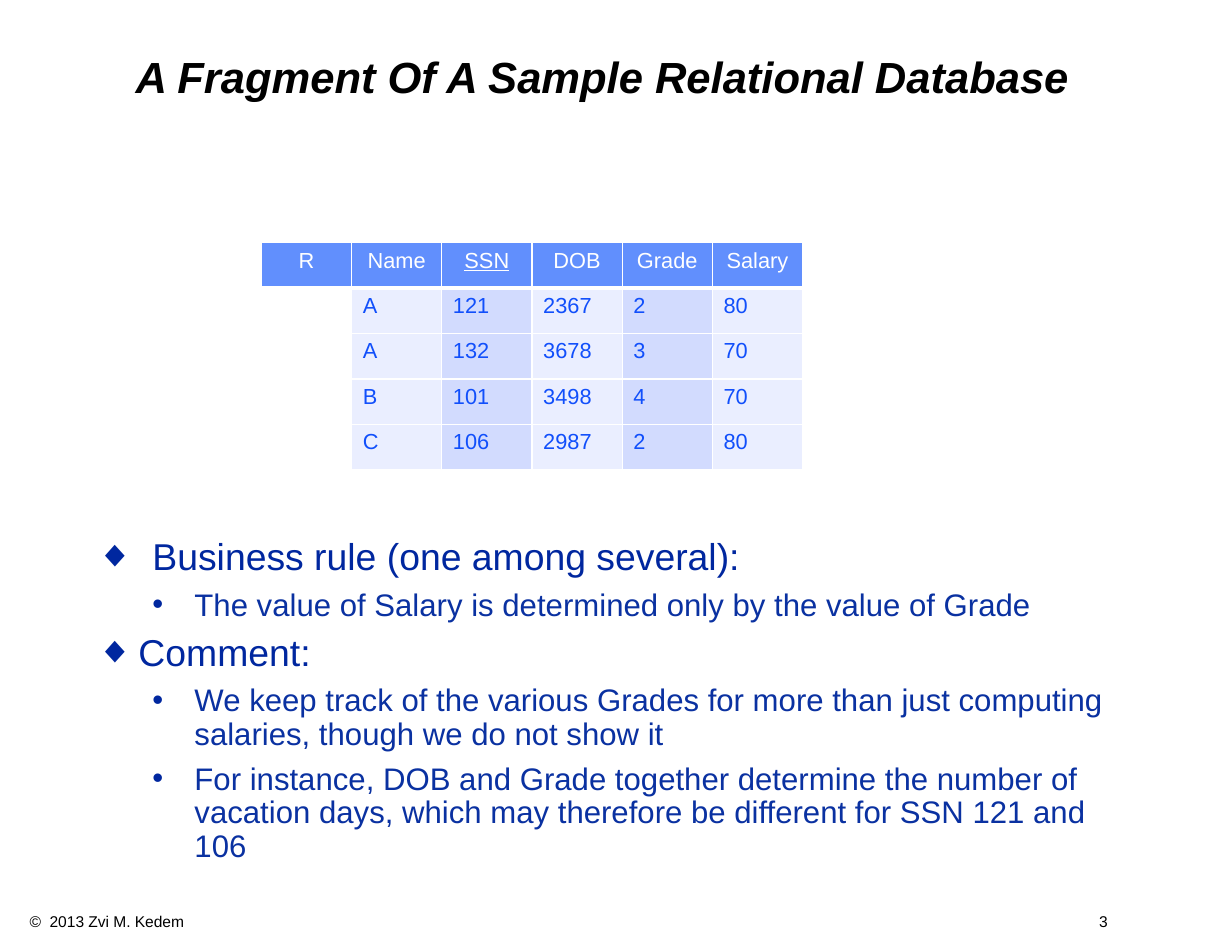
"""Build the slide about a fragment of a sample relational database."""
import pptx
import pptx.util
import pptx.dml.color
import pptx.enum.text
import lxml.etree

Pt = pptx.util.Pt
RGB = pptx.dml.color.RGBColor
ALIGN = pptx.enum.text.PP_ALIGN
ANCHOR = pptx.enum.text.MSO_ANCHOR
BLACK = RGB(0x00, 0x00, 0x00)
WHITE = RGB(0xFF, 0xFF, 0xFF)
NAVY = RGB(0x00, 0x27, 0x9F)
INDIGO = RGB(0x0A, 0x31, 0xA1)
BLUE = RGB(0x11, 0x4F, 0xFB)
HEAD = RGB(0x61, 0x8F, 0xFD)
PALE = RGB(0xEA, 0xEE, 0xFF)
TINT = RGB(0xD2, 0xDB, 0xFE)
NS = "{http://schemas.openxmlformats.org/drawingml/2006/main}"


def style(para, size, color):
    for run in para.runs:
        run.font.name = "Arial"
        run.font.size = Pt(size)
        run.font.color.rgb = color


def add(node, tag, **attrs):
    return lxml.etree.SubElement(node, NS + tag, attrs)


deck = pptx.Presentation()
deck.slide_width = Pt(792)
deck.slide_height = Pt(612)
slide = deck.slides.add_slide(deck.slide_layouts[5])

title = slide.shapes.title
title.left, title.top, title.width, title.height = Pt(54), Pt(18), Pt(666), Pt(66)
frame = title.text_frame
frame.text = "A Fragment Of A Sample Relational Database"
frame.word_wrap = True
frame.auto_size = pptx.enum.text.MSO_AUTO_SIZE.NONE
frame.vertical_anchor = ANCHOR.MIDDLE
frame.margin_left = frame.margin_right = Pt(8)
frame.margin_top = frame.margin_bottom = Pt(4)
para = frame.paragraphs[0]
para.alignment = ALIGN.CENTER
para.line_spacing = 0.9
style(para, 28, BLACK)
para.runs[0].font.bold = True
para.runs[0].font.italic = True

rows = [
    ["R", "Name", "SSN", "DOB", "Grade", "Salary"],
    ["", "A", "121", "2367", "2", "80"],
    ["", "A", "132", "3678", "3", "70"],
    ["", "B", "101", "3498", "4", "70"],
    ["", "C", "106", "2987", "2", "80"],
]
table = slide.shapes.add_table(5, 6, Pt(168), Pt(156), Pt(348), Pt(146)).table
table.horz_banding = False
for col in table.columns:
    col.width = Pt(58)
for r, row in enumerate(rows):
    table.rows[r].height = Pt(29.2)
    for c, text in enumerate(row):
        cell = table.cell(r, c)
        cell.text_frame.text = text
        para = cell.text_frame.paragraphs[0]
        style(para, 14, WHITE if r == 0 else BLUE)
        if r == 0:
            para.alignment = ALIGN.CENTER
        for run in para.runs:
            run.font.bold = False
            run.font.underline = text == "SSN"
        props = cell._tc.get_or_add_tcPr()
        for side in ("lnL", "lnR", "lnT", "lnB"):
            thick = (r == 0 and side == "lnB") or (r == 1 and side == "lnT")
            line = add(props, side, w=str(Pt(3 if thick else 1)))
            add(add(line, "solidFill"), "srgbClr", val=str(WHITE))
        cell.fill.solid()
        if r == 0:
            cell.fill.fore_color.rgb = HEAD
        elif c == 0:
            cell.fill.fore_color.rgb = WHITE
        else:
            cell.fill.fore_color.rgb = PALE if c % 2 else TINT

points = [
    (0, 36, 36, "Business rule (one among several):"),
    (1, 63, 27, "The value of Salary is determined only by the value of Grade"),
    (0, 27, 27, "Comment:"),
    (1, 63, 27, "We keep track of the various Grades for more than just "
                "computing salaries, though we do not show it"),
    (1, 63, 27, "For instance, DOB and Grade together determine the number of "
                "vacation days, which may therefore be different for SSN 121 and 106"),
]
frame = slide.shapes.add_textbox(Pt(54), Pt(342), Pt(672), Pt(216)).text_frame
frame.word_wrap = True
frame.margin_left = frame.margin_right = Pt(8)
frame.margin_top = frame.margin_bottom = Pt(4)
for i, (level, left, hang, text) in enumerate(points):
    para = frame.add_paragraph() if i else frame.paragraphs[0]
    para.text = text
    para.level = level
    para.line_spacing = 0.9
    para.space_before = Pt(7 if i else 0)
    props = para._p.get_or_add_pPr()
    props.set("marL", str(Pt(left)))
    props.set("indent", str(-Pt(hang)))
    add(add(props, "buClr"), "srgbClr", val=str(NAVY))
    add(props, "buFont", typeface="Arial")
    add(props, "buChar", char="•" if level else "◆")
    style(para, 20 if level else 24, INDIGO if level else NAVY)

frame = slide.shapes.add_textbox(Pt(12), Pt(583), Pt(745), Pt(19.5)).text_frame
frame.word_wrap = True
para = frame.paragraphs[0]
para.text = "©  2013 Zvi M. Kedem\t3"
tabs = add(para._p.get_or_add_pPr(), "tabLst")
add(tabs, "tab", pos=str(Pt(693)), algn="r")
style(para, 10, BLACK)

deck.save("out.pptx")
